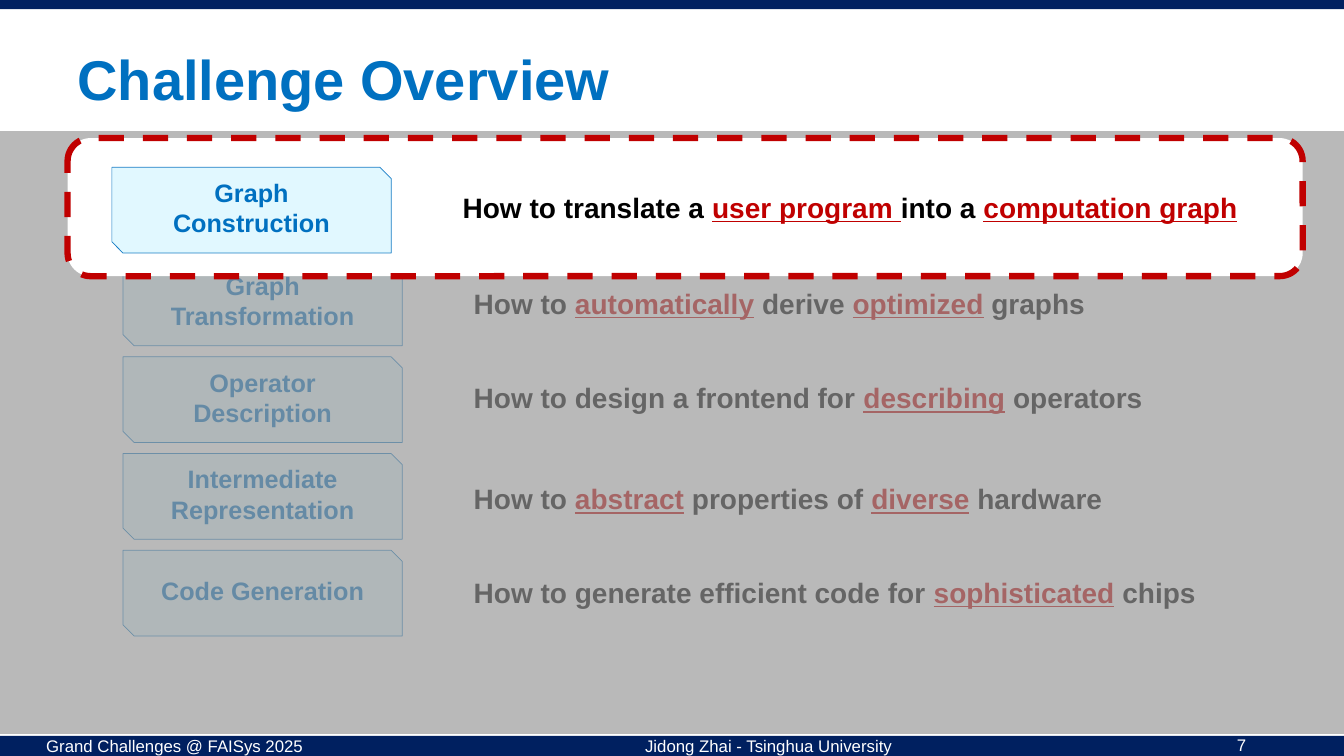
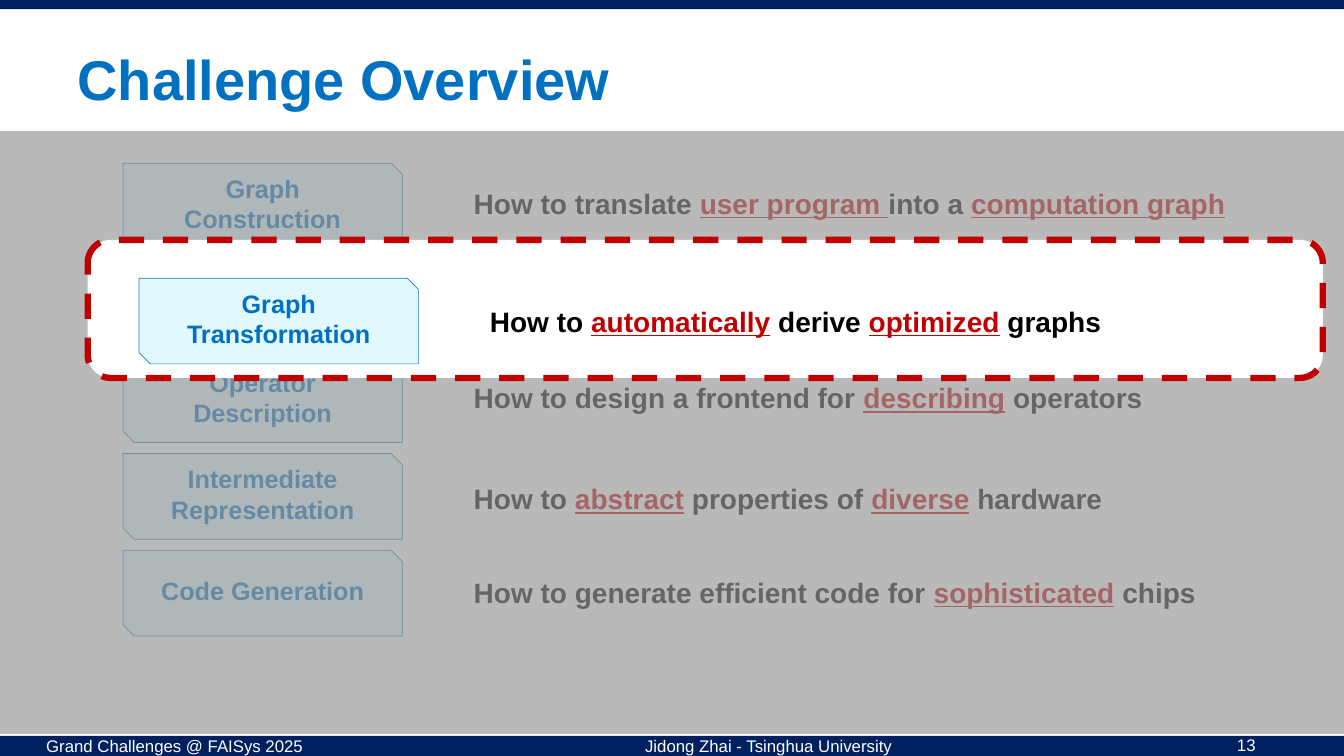
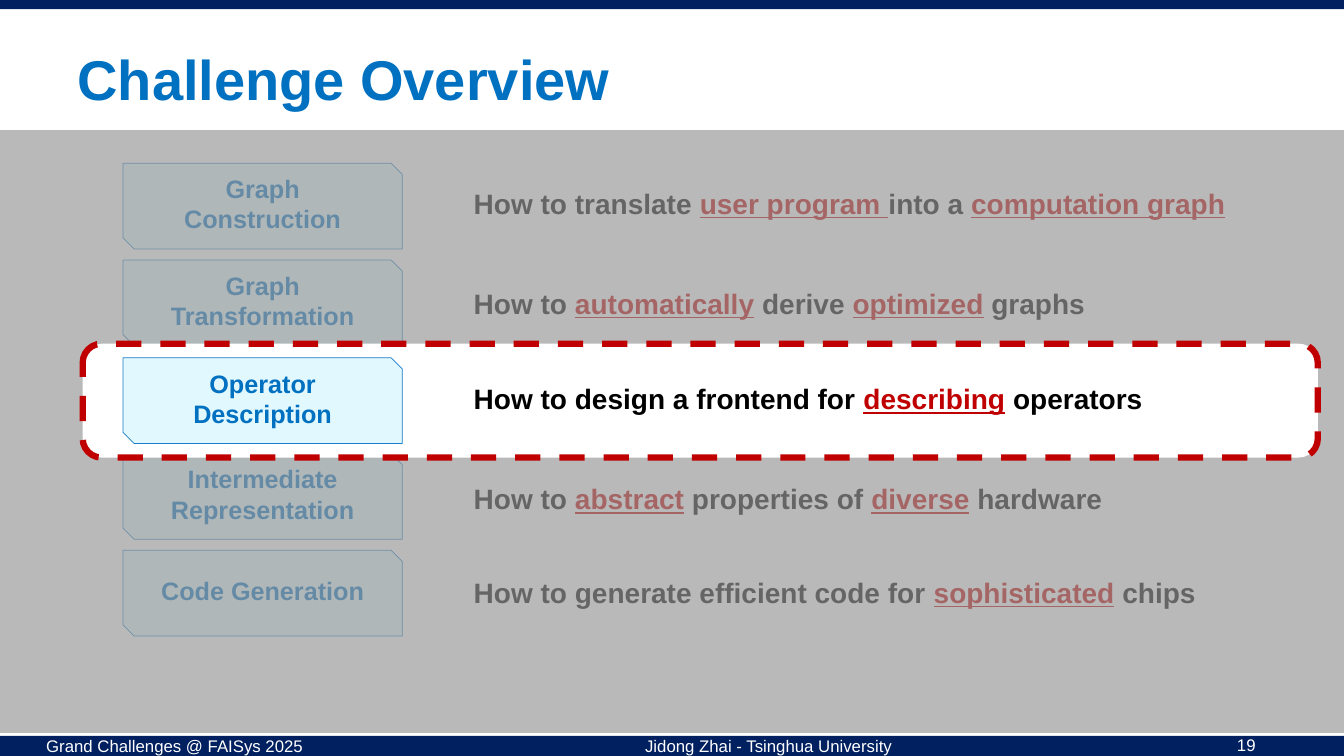
from lxml import etree
from pptx import Presentation
from pptx.dml.color import RGBColor
from pptx.enum import dml, shapes, text
from pptx.oxml.ns import qn
from pptx.util import Inches, Pt

NAVY = RGBColor(0x00, 0x20, 0x60)
BLUE = RGBColor(0x00, 0x70, 0xC0)
PALE = RGBColor(0xD5, 0xF6, 0xFF)
RED = RGBColor(0xC0, 0x00, 0x00)
GRAY = RGBColor(0x98, 0x98, 0x98)
BLACK = RGBColor(0x00, 0x00, 0x00)
WHITE = RGBColor(0xFF, 0xFF, 0xFF)

FONT = "Arial"
WIDTH, HEIGHT = 13.33, 7.5
CARD_LEFT, CARD_TOP, CARD_PITCH = 1.22, 1.62, 0.96
CARD_W, CARD_H = 2.77, 0.85
QUESTION_DX = 3.38

# Stage, question with *key words*, drop of the question below the card's top
CHALLENGES = [
    ("Graph Construction", "How to translate *user program *into a *computation graph*", 0.18),
    ("Graph Transformation", "How to *automatically* derive *optimized* graphs", 0.21),
    ("Operator Description", "How to design a frontend for *describing* operators", 0.19),
    ("Intermediate Representation", "How to *abstract* properties of *diverse* hardware", 0.23),
    ("Code Generation", "How to generate efficient code for *sophisticated* chips", 0.2),
]

# Page, veil top, focused challenge, its card's left and top,
# frame left, top and height, question wording where it differs
OVERVIEWS = [
    (7, 1.3, 0, (1.11, 1.66), (0.67, 1.37, 1.37),
     "How to translate a *user program *into a *computation graph*"),
    (13, 1.3, 1, (1.38, 2.76), (0.87, 2.38, 1.37), None),
    (19, 1.29, 2, (1.22, 3.55), (0.82, 3.41, 1.13), None),
]


def set_alpha(sp, where, percent):
    """Make the fill (a:solidFill) or line (a:ln/a:solidFill) see-through."""
    for color in sp._element.xpath(f"./p:spPr/{where}/a:srgbClr"):
        etree.SubElement(color, qn("a:alpha")).set("val", str(percent * 1000))


class Deck:
    def __init__(self):
        self.prs = Presentation()
        self.prs.slide_width = Inches(WIDTH)
        self.prs.slide_height = Inches(HEIGHT)
        self.s = None

    def new_slide(self, title, page):
        """Start a slide with its bands, footers and title."""
        self.s = self.prs.slides.add_slide(self.prs.slide_layouts[6])
        self.shape(0, 7.3, WIDTH, 0.2, NAVY)
        self.shape(0, -0.02, WIDTH, 0.11, NAVY)
        self.label(0.36, 7.25, 2.94, 0.3, "Grand Challenges @ FAISys 2025")
        self.label(6.3, 7.25, 2.77, 0.3, "Jidong Zhai - Tsinghua University")
        self.label(12.17, 7.24, 1.17, 0.23, str(page))
        tf = self.label(0.67, 0.45, 11.75, 0.73, title, 40, BLUE, True)
        tf.vertical_anchor = text.MSO_ANCHOR.MIDDLE
        tf.paragraphs[0].line_spacing = 0.9

    def shape(self, x, y, w, h, fill, kind=shapes.MSO_SHAPE.RECTANGLE, line=None, line_width=1):
        sp = self.s.shapes.add_shape(kind, Inches(x), Inches(y), Inches(w), Inches(h))
        sp.shadow.inherit = False
        sp.fill.solid()
        sp.fill.fore_color.rgb = fill
        if line is None:
            sp.line.fill.background()
        else:
            sp.line.color.rgb = line
            sp.line.width = Pt(line_width)
        return sp

    def run(self, p, words, size, color, bold=False, underline=False):
        r = p.add_run()
        r.text = words
        r.font.name = FONT
        r.font.size = Pt(size)
        r.font.bold = bold
        r.font.underline = underline
        r.font.color.rgb = color

    def text_box(self, x, y, w, h):
        box = self.s.shapes.add_textbox(Inches(x), Inches(y), Inches(w), Inches(h))
        box.text_frame.word_wrap = True
        return box.text_frame

    def label(self, x, y, w, h, words, size=12, color=WHITE, bold=False):
        tf = self.text_box(x, y, w, h)
        self.run(tf.paragraphs[0], words, size, color, bold)
        return tf

    def card(self, x, y, stage):
        sp = self.shape(x, y, CARD_W, CARD_H, PALE,
                        shapes.MSO_SHAPE.SNIP_2_DIAG_RECTANGLE, BLUE, 0.5)
        sp.adjustments[0] = 0
        sp.adjustments[1] = 0.13
        set_alpha(sp, "a:solidFill", 70)
        set_alpha(sp, "a:ln/a:solidFill", 90)
        tf = sp.text_frame
        tf.word_wrap = True
        tf.margin_left = tf.margin_right = Inches(0.17)
        tf.margin_top, tf.margin_bottom = Inches(0.05), Inches(0.1)
        tf.vertical_anchor = text.MSO_ANCHOR.MIDDLE
        p = tf.paragraphs[0]
        p.alignment = text.PP_ALIGN.CENTER
        self.run(p, stage, 18, BLUE, True)

    def question(self, x, y, wording):
        p = self.text_box(x, y, 8, 0.44).paragraphs[0]
        for i, words in enumerate(wording.split("*")):
            is_key = i % 2 == 1
            if words:
                self.run(p, words, 20, RED if is_key else BLACK, True, is_key)

    def challenge(self, index, x, y, wording=None):
        stage, question, drop = CHALLENGES[index]
        self.card(x, y, stage)
        self.question(x + QUESTION_DX, y + drop, wording or question)

    def veil(self, top):
        set_alpha(self.shape(0, top, WIDTH, 5.98, GRAY), "a:solidFill", 67)

    def focus_frame(self, x, y, h):
        sp = self.shape(x, y, 12.25, h, WHITE, shapes.MSO_SHAPE.ROUNDED_RECTANGLE, RED, 4.5)
        sp.line.dash_style = dml.MSO_LINE.DASH


def main():
    deck = Deck()
    for page, veil_top, focus, card_at, frame, wording in OVERVIEWS:
        deck.new_slide("Challenge Overview", page)
        for i in range(len(CHALLENGES)):
            if i != focus:
                deck.challenge(i, CARD_LEFT, CARD_TOP + i * CARD_PITCH)
        deck.veil(veil_top)
        deck.focus_frame(*frame)
        deck.challenge(focus, *card_at, wording)
    deck.prs.save("out.pptx")


if __name__ == "__main__":
    main()
